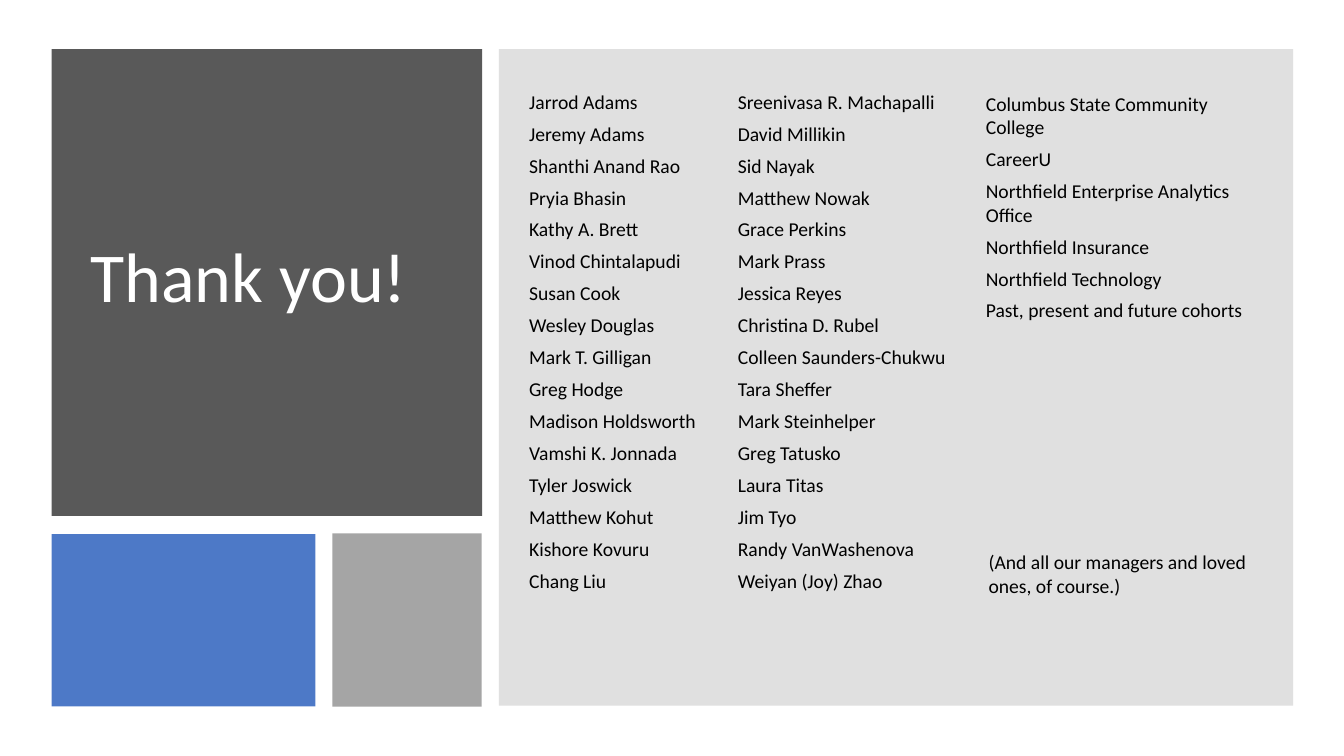
from lxml.etree import SubElement
from pptx import Presentation
from pptx.dml.color import RGBColor
from pptx.enum.shapes import MSO_SHAPE
from pptx.enum.text import MSO_ANCHOR, MSO_AUTO_SIZE, PP_ALIGN
from pptx.oxml.ns import qn
from pptx.util import Cm, Pt

FONT = "Calibri"
COLORS = {
    "title_block": "595959",
    "blue_block": "4472C4",
    "panel": "7F7F7F",
    "grey_block": "A5A5A5",
    "title": "FFFFFF",
    "text": "000000",
}

# Colour name, position and size in cm, opacity in percent
BLOCKS = [
    ("title_block", (1.3, 1.24, 10.85, 11.76), 100),
    ("blue_block", (1.3, 13.46, 6.65, 4.34), 95),
    ("panel", (12.57, 1.24, 20.02, 16.54), 24),
    ("grey_block", (8.38, 13.44, 3.76, 4.37), 100),
]

# Position and size in cm, lines
LISTS = [
    ((13.08, 2.13, 6.5, 13.95), [
        "Jarrod Adams", "Jeremy Adams", "Shanthi Anand Rao", "Pryia Bhasin",
        "Kathy A. Brett", "Vinod Chintalapudi", "Susan Cook", "Wesley Douglas",
        "Mark T. Gilligan", "Greg Hodge", "Madison Holdsworth",
        "Vamshi K. Jonnada", "Tyler Joswick", "Matthew Kohut",
        "Kishore Kovuru", "Chang Liu",
    ]),
    ((18.34, 2.13, 7.39, 13.95), [
        "Sreenivasa R. Machapalli", "David Millikin", "Sid Nayak",
        "Matthew Nowak", "Grace Perkins", "Mark Prass", "Jessica Reyes",
        "Christina D. Rubel", "Colleen Saunders-Chukwu", "Tara Sheffer",
        "Mark Steinhelper", "Greg Tatusko", "Laura Titas", "Jim Tyo",
        "Randy VanWashenova", "Weiyan (Joy) Zhao",
    ]),
    ((24.59, 2.18, 7.39, 7.01), [
        "Columbus State Community College", "CareerU",
        "Northfield Enterprise Analytics Office", "Northfield Insurance",
        "Northfield Technology", "Past, present and future cohorts",
    ]),
    ((24.66, 13.74, 7.32, 2.36), [
        "(And all our managers and loved ones, of course.)",
    ]),
]


def place(sp, box):
    sp.left, sp.top, sp.width, sp.height = map(Cm, box)


def add_block(slide, color, box, opacity):
    """Add a plain rectangle behind the placeholders."""
    sp = slide.shapes.add_shape(MSO_SHAPE.RECTANGLE, *map(Cm, box))
    sp.shadow.inherit = False
    sp.line.fill.background()
    sp.fill.solid()
    sp.fill.fore_color.rgb = RGBColor.from_string(COLORS[color])
    if opacity < 100:
        clr = sp.element.spPr.find(".//" + qn("a:srgbClr"))
        SubElement(clr, qn("a:alpha"), val=str(opacity * 1000))
    sp.element.getparent().insert(2, sp.element)


def add_run(p, text, size, color):
    r = p.add_run()
    r.text = text
    r.font.name = FONT
    r.font.size = Pt(size)
    r.font.bold = False
    r.font.color.rgb = RGBColor.from_string(COLORS[color])


def prepare_frame(sp, anchor):
    tf = sp.text_frame
    tf.word_wrap = True
    tf.auto_size = MSO_AUTO_SIZE.NONE
    tf.vertical_anchor = anchor
    return tf


def fill_title(sp, text):
    place(sp, (2.03, 3.1, 9.35, 7.9))
    p = prepare_frame(sp, MSO_ANCHOR.MIDDLE).paragraphs[0]
    p.alignment = PP_ALIGN.LEFT
    p.line_spacing = 0.9
    add_run(p, text, 50, "title")


def fill_list(sp, box, lines):
    place(sp, box)
    tf = prepare_frame(sp, MSO_ANCHOR.TOP)
    for i, line in enumerate(lines):
        p = tf.add_paragraph() if i else tf.paragraphs[0]
        pPr = p._p.get_or_add_pPr()
        pPr.set("marL", "0")
        pPr.set("indent", "0")
        SubElement(pPr, qn("a:buNone"))
        p.alignment = PP_ALIGN.LEFT
        p.space_before = Pt(0)
        p.space_after = Pt(6)
        add_run(p, line, 14, "text")


def main():
    prs = Presentation()
    prs.slide_width, prs.slide_height = Cm(33.87), Cm(19.05)
    slide = prs.slides.add_slide(prs.slide_layouts.get_by_name("Comparison"))
    for color, box, opacity in BLOCKS:
        add_block(slide, color, box, opacity)
    title, *bodies = slide.placeholders
    fill_title(title, "Thank you!")
    for sp, (box, lines) in zip(bodies, LISTS):
        fill_list(sp, box, lines)
    prs.save("out.pptx")


if __name__ == "__main__":
    main()
